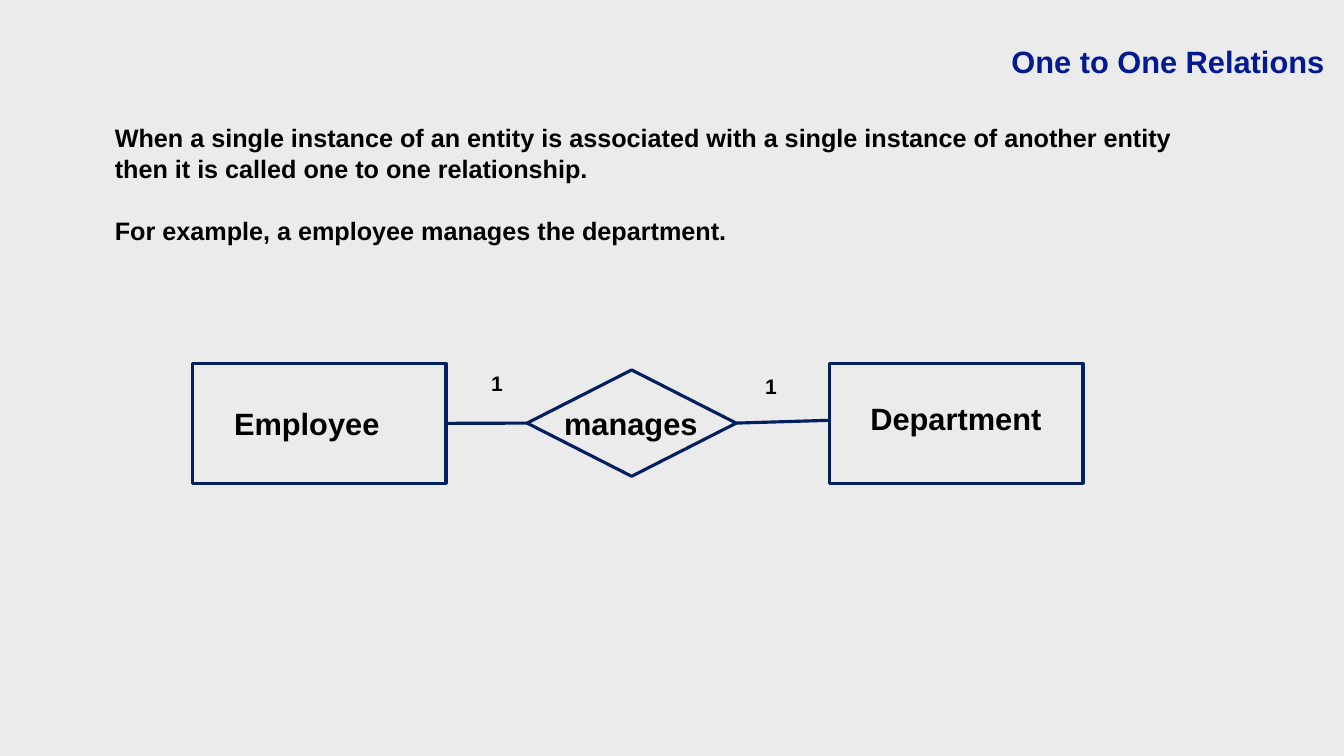
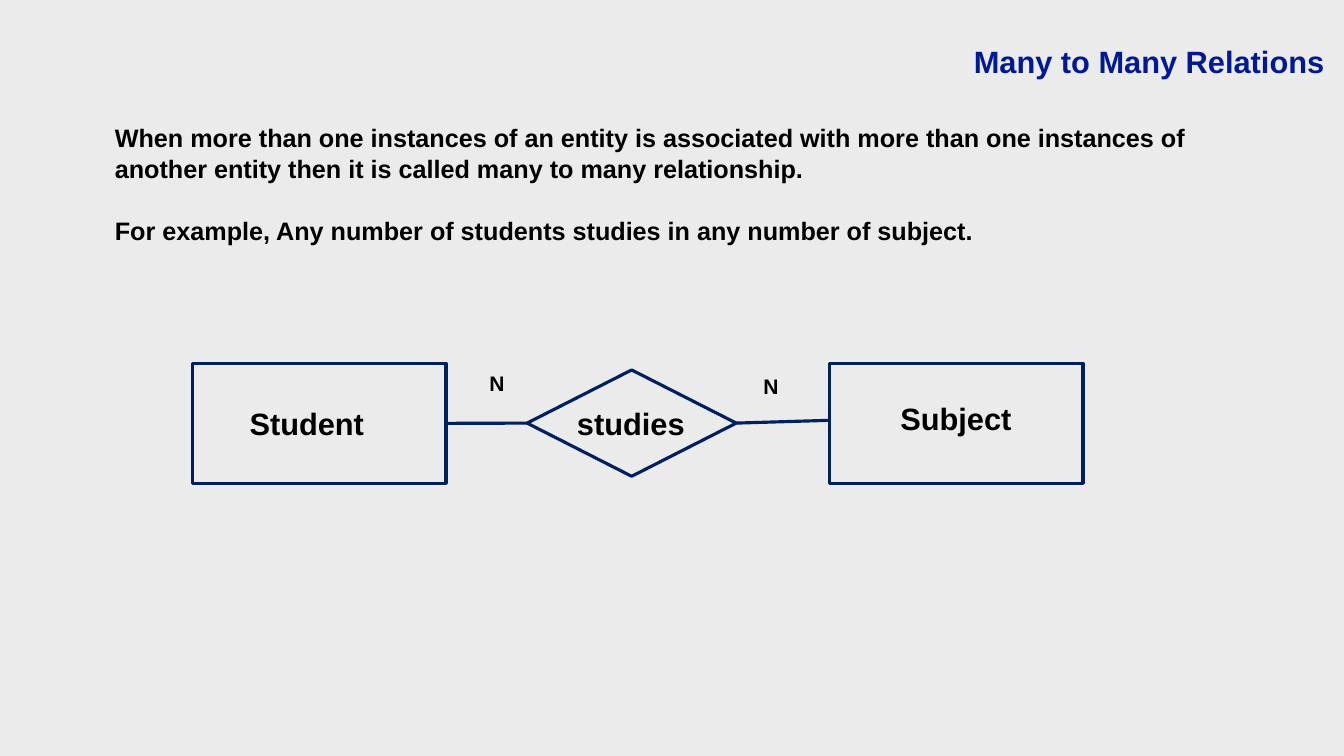
from dataclasses import dataclass

from lxml import etree
from pptx import Presentation
from pptx.dml.color import RGBColor
from pptx.enum.shapes import MSO_CONNECTOR, MSO_SHAPE
from pptx.enum.text import MSO_ANCHOR, MSO_AUTO_SIZE, PP_ALIGN
from pptx.oxml.ns import qn
from pptx.util import Inches, Pt


@dataclass(frozen=True)
class Theme:
    font: str = "Arial"
    background: RGBColor = RGBColor(0xEB, 0xEB, 0xEB)
    title: RGBColor = RGBColor(0x01, 0x19, 0x93)
    text: RGBColor = RGBColor(0x00, 0x00, 0x00)
    line: RGBColor = RGBColor(0x00, 0x20, 0x60)
    line_width: float = 4.5
    title_size: int = 44
    body_size: int = 36
    entity_size: int = 44
    cardinality_size: int = 30
    body_line_spacing: float = 1.05
    body_gap: int = 43


THEME = Theme()

# Title, explanation, then left entity, relation, right entity and cardinality
RELATIONS = [
    ("One to One Relations",
     ["When a single instance of an entity is associated with a single "
      "instance of another entity then it is called one to one relationship.",
      "For example, a employee manages the department."],
     "Employee", "manages", "Department", "1"),
    ("Many to Many Relations",
     ["When more than one instances of an entity is associated with more than "
      "one instances of another entity then it is called many to many relationship.",
      "For example, Any number of students studies in any number of subject."],
     "Student", "studies", "Subject", "N"),
]


# Text
def format_paragraph(paragraph, size, color, alignment):
    paragraph.alignment = alignment
    for run in paragraph.runs:
        run.font.name = THEME.font
        run.font.size = Pt(size)
        run.font.bold = True
        run.font.color.rgb = color


def add_text_box(shapes, left, top, width, height):
    text_box = shapes.add_textbox(
        Inches(left), Inches(top), Inches(width), Inches(height))
    text_frame = text_box.text_frame
    text_frame.word_wrap = True
    text_frame.auto_size = MSO_AUTO_SIZE.SHAPE_TO_FIT_TEXT
    return text_frame


def add_label(shapes, text, left, top, width, height, size,
              color=THEME.text, alignment=PP_ALIGN.CENTER):
    text_frame = add_text_box(shapes, left, top, width, height)
    text_frame.vertical_anchor = MSO_ANCHOR.MIDDLE
    text_frame.margin_left = text_frame.margin_right = Inches(0.06)
    text_frame.margin_top = text_frame.margin_bottom = Inches(0.06)
    text_frame.text = text
    format_paragraph(text_frame.paragraphs[0], size, color, alignment)


def add_title(slide, text):
    add_label(slide.shapes, text, 9.73, 0.78, 16.62, 0.85,
              THEME.title_size, THEME.title, PP_ALIGN.RIGHT)


def add_explanation(slide, texts):
    text_frame = add_text_box(slide.shapes, 2.18, 2.34, 21.79, 2.52)
    text_frame.text = "\n".join(texts)
    for index, paragraph in enumerate(text_frame.paragraphs):
        format_paragraph(paragraph, THEME.body_size, THEME.text, PP_ALIGN.LEFT)
        paragraph.line_spacing = THEME.body_line_spacing
        if index:
            paragraph.space_before = Pt(THEME.body_gap)


# Diagram parts
def style_line(line):
    line.color.rgb = THEME.line
    line.width = Pt(THEME.line_width)


def add_outline(shapes, kind, left, top, width, height):
    shape = shapes.add_shape(
        kind, Inches(left), Inches(top), Inches(width), Inches(height))
    shape.shadow.inherit = False
    shape.fill.background()
    style_line(shape.line)
    return shape


def add_entity(shapes, text, left, label_left, label_top):
    box = add_outline(
        shapes, MSO_SHAPE.FLOWCHART_PROCESS, left, 7.21, 5.03, 2.38)
    add_label(shapes, text, label_left, label_top, 3.66, 0.85, THEME.entity_size)
    return box


def add_relation(shapes, text):
    diamond = add_outline(
        shapes, MSO_SHAPE.FLOWCHART_DECISION, 10.46, 7.34, 4.15, 2.11)
    add_label(shapes, text, 10.69, 7.97, 3.66, 0.85, THEME.entity_size)
    return diamond


def add_link(shapes, start, end):
    connector = shapes.add_connector(
        MSO_CONNECTOR.STRAIGHT, *(Inches(value) for value in start + end))
    style_line(connector.line)
    etree.SubElement(connector._element.spPr, qn("a:effectLst"))
    return connector


def add_diagram(slide, left_entity, relation, right_entity, cardinality):
    shapes = slide.shapes.add_group_shape().shapes
    left_box = add_entity(shapes, left_entity, 3.82, 4.26, 7.97)
    diamond = add_relation(shapes, relation)
    add_entity(shapes, right_entity, 16.46, 17.14, 7.88)

    left_link = add_link(shapes, (8.85, 8.39), (10.46, 8.39))
    left_link.begin_connect(left_box, 3)
    left_link.end_connect(diamond, 1)
    # The right link meets its entity slightly above the middle
    right_link = add_link(shapes, (14.61, 8.39), (16.45, 8.34))
    right_link.begin_connect(diamond, 3)

    for left, top in ((9.48, 7.3), (14.92, 7.35)):
        add_label(shapes, cardinality, left, top, 0.76, 0.62,
                  THEME.cardinality_size)


def add_relation_slide(presentation, title, explanation, *diagram_texts):
    slide = presentation.slides.add_slide(presentation.slide_layouts[6])
    slide.background.fill.solid()
    slide.background.fill.fore_color.rgb = THEME.background
    add_title(slide, title)
    add_explanation(slide, explanation)
    add_diagram(slide, *diagram_texts)


def main():
    presentation = Presentation()
    presentation.slide_width = Inches(26.67)
    presentation.slide_height = Inches(15)
    for relation in RELATIONS:
        add_relation_slide(presentation, *relation)
    presentation.save("out.pptx")


if __name__ == "__main__":
    main()
